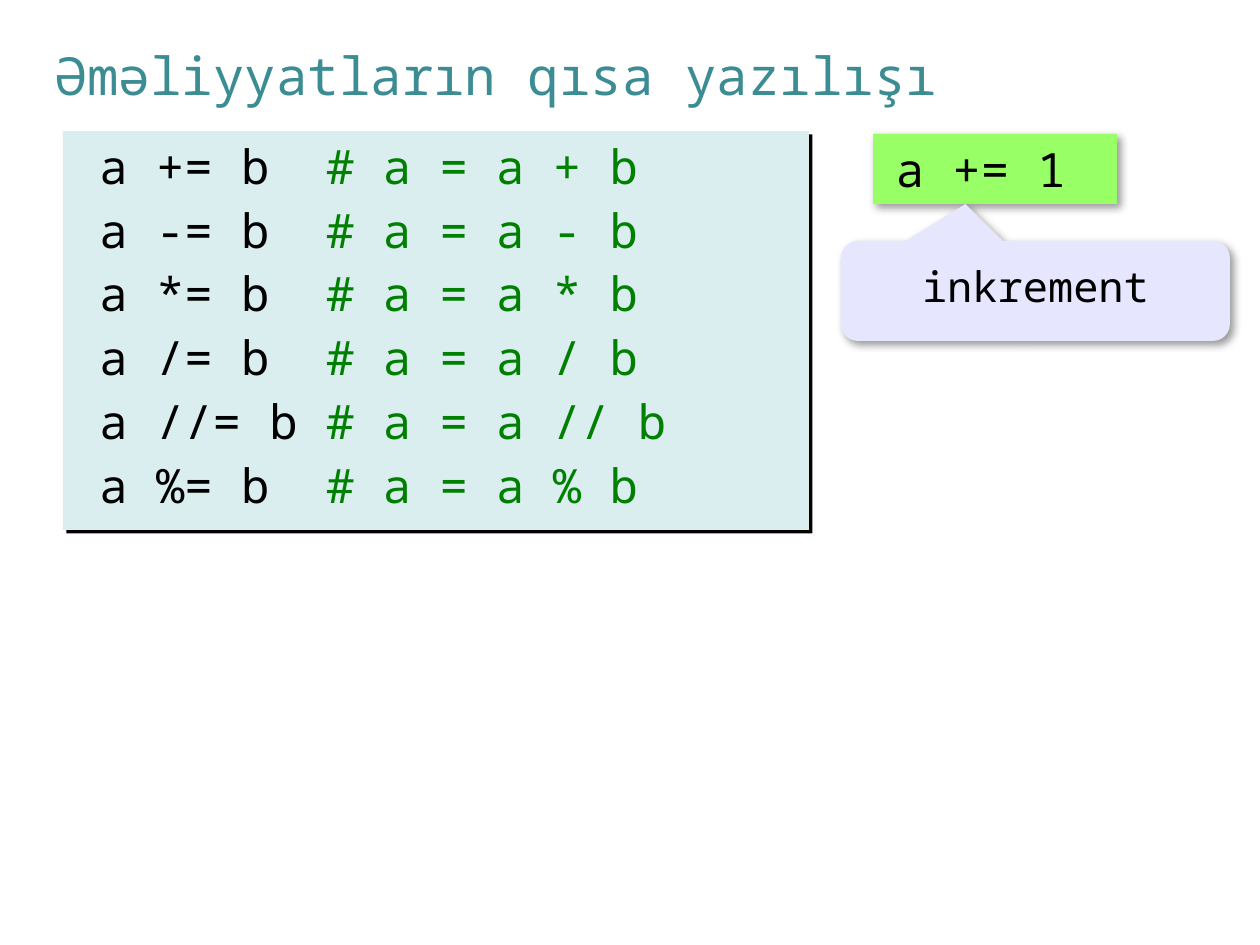
from lxml.etree import SubElement
from pptx import Presentation
from pptx.dml.color import RGBColor
from pptx.enum.shapes import MSO_SHAPE
from pptx.enum.text import MSO_ANCHOR, MSO_AUTO_SIZE, PP_ALIGN
from pptx.oxml.ns import qn
from pptx.util import Emu, Pt

SCALE = 914400 / 126
FONT = "Noto Sans Mono"
COLORS = {
    "title": "3C8C93",
    "text": "000000",
    "comment": "008000",
    "listing": "DAEDEF",
    "example": "99FF66",
    "callout": "E6E6FF",
    "shadow": "000000",
}
TITLE = "Əməliyyatların qısa yazılışı"
OPERATORS = ["+", "-", "*", "/", "//", "%"]
COMMENT_COLUMN = 8
EXAMPLE = "a += 1 "
TERM = "inkrement"

HARD_SHADOW = {"alpha": 100, "blur": 0, "dist": 2.8}
SOFT_SHADOW = {"alpha": 40, "blur": 5, "dist": 3}
BOX_FRAME = {"word_wrap": True, "vertical_anchor": MSO_ANCHOR.TOP,
             "auto_size": MSO_AUTO_SIZE.SHAPE_TO_FIT_TEXT}
MIDDLE_FRAME = {"word_wrap": True, "vertical_anchor": MSO_ANCHOR.MIDDLE,
                "auto_size": MSO_AUTO_SIZE.NONE}


def px(value):
    return Emu(round(value * SCALE))


def set_values(target, values):
    for attribute, value in values.items():
        setattr(target, attribute, value)


def add_run(paragraph, text, size, color):
    run = paragraph.add_run()
    run.text = text
    set_values(run.font, {"size": Pt(size), "name": FONT, "bold": False})
    run.font.color.rgb = RGBColor.from_string(COLORS[color])


def add_shadow(shape, alpha, blur, dist):
    shape.shadow.inherit = False
    effects = shape._element.spPr.find(qn("a:effectLst"))
    shadow = SubElement(effects, qn("a:outerShdw"), blurRad=str(Pt(blur)),
                        dist=str(Pt(dist)), dir="2700000", algn="tl", rotWithShape="0")
    color = SubElement(shadow, qn("a:srgbClr"), val=COLORS["shadow"])
    SubElement(color, qn("a:alpha"), val=str(alpha * 1000))


def add_box(slide, preset, place, fill, shadow, frame):
    box = slide.shapes.add_shape(preset, *map(px, place))
    box.fill.solid()
    box.fill.fore_color.rgb = RGBColor.from_string(COLORS[fill])
    box.line.fill.background()
    add_shadow(box, **shadow)
    set_values(box.text_frame, frame)
    return box


def main():
    deck = Presentation()
    set_values(deck, {"slide_width": px(1260), "slide_height": px(945)})
    slide = deck.slides.add_slide(deck.slide_layouts[5])

    title = slide.shapes.title
    set_values(title, dict(zip(("left", "top", "width", "height"),
                               map(px, (43, 42, 1154, 66)))))
    set_values(title.text_frame, MIDDLE_FRAME)
    heading = title.text_frame.paragraphs[0]
    heading.alignment = PP_ALIGN.LEFT
    add_run(heading, TITLE, 30, "title")

    listing = add_box(slide, MSO_SHAPE.RECTANGLE, (63, 131, 746, 399),
                      "listing", HARD_SHADOW, BOX_FRAME)
    for index, operator in enumerate(OPERATORS):
        frame = listing.text_frame
        line = frame.add_paragraph() if index else frame.paragraphs[0]
        set_values(line, {"level": 1, "alignment": PP_ALIGN.LEFT,
                          "space_before": Pt(4 if index else 0)})
        set_indent = line._p.get_or_add_pPr().set
        set_indent("marL", str(px(24)))
        set_indent("indent", "0")
        add_run(line, f"a {operator}= b".ljust(COMMENT_COLUMN), 27, "text")
        add_run(line, f"# a = a {operator} b", 27, "comment")

    example = add_box(slide, MSO_SHAPE.RECTANGLE, (873, 134, 244, 70),
                      "example", SOFT_SHADOW, BOX_FRAME)
    example.text_frame.margin_bottom = 0
    statement = example.text_frame.paragraphs[0]
    statement.alignment = PP_ALIGN.CENTER
    add_run(statement, EXAMPLE, 27, "text")

    callout = add_box(slide, MSO_SHAPE.ROUNDED_RECTANGULAR_CALLOUT, (841, 241, 389, 100),
                      "callout", SOFT_SHADOW, MIDDLE_FRAME)
    for index, value in enumerate((-0.18, -0.87, 0.17)):
        callout.adjustments[index] = value
    term = callout.text_frame.paragraphs[0]
    set_values(term, {"alignment": PP_ALIGN.CENTER, "line_spacing": 0.8})
    add_run(term, TERM, 24, "text")

    deck.save("out.pptx")


if __name__ == "__main__":
    main()
